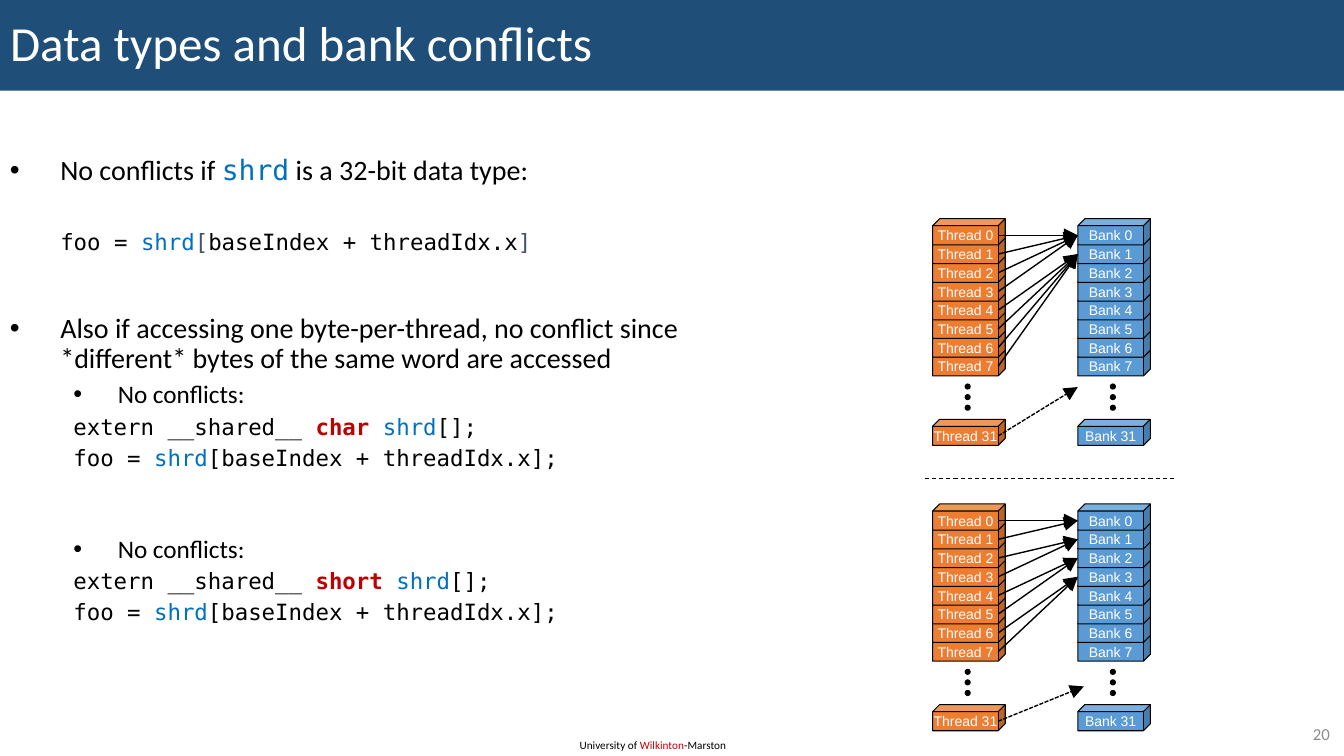
"""Build the slide on data types and shared memory bank conflicts."""
from dataclasses import dataclass

from lxml import etree
from pptx import Presentation
from pptx.dml.color import RGBColor
from pptx.enum.dml import MSO_LINE
from pptx.enum.shapes import MSO_CONNECTOR, MSO_SHAPE
from pptx.enum.text import MSO_ANCHOR, PP_ALIGN
from pptx.oxml.ns import qn
from pptx.util import Inches, Pt

CUBE, OVAL = MSO_SHAPE.CUBE, MSO_SHAPE.OVAL
STRAIGHT = MSO_CONNECTOR.STRAIGHT
DASH, SYS_DASH = MSO_LINE.DASH, MSO_LINE.SQUARE_DOT
TOP, MIDDLE = MSO_ANCHOR.TOP, MSO_ANCHOR.MIDDLE
LEFT, CENTER, RIGHT = PP_ALIGN.LEFT, PP_ALIGN.CENTER, PP_ALIGN.RIGHT


@dataclass(frozen=True)
class Theme:
    sans: str = "Calibri"
    label_font: str = "Arial"
    mono: str = "DejaVu Sans Mono"
    navy: str = "1F4E79"
    slate: str = "44546A"
    thread: str = "ED7D31"
    bank: str = "5B9BD5"
    name: str = "0070C0"
    keyword: str = "C00000"
    black: str = "000000"
    white: str = "FFFFFF"
    grey: str = "8C8C8C"
    title: int = 35
    body: int = 20
    sub: int = 18
    code: int = 16
    number: int = 12
    label: int = 10
    footer: int = 8


T = Theme()
W, H = 13.33, 7.5
TITLE = "Data types and bank conflicts"
PAGE = "20"
FOOTER = [("University of ", {}), ("Wilkinton", {"color": T.keyword}), ("-Marston", {})]

SHRD = ("shrd", {"color": T.name})
BULLET = {"margin": 0.5, "indent": -0.5, "bullet": True, "size": T.body}
CODE = {"margin": 0.5, "size": T.code, "font": T.mono}
SUB_BULLET = {"margin": 1.07, "indent": -0.44, "bullet": True, "size": T.sub}
SUB_CODE = {"margin": 0.63, "size": T.code, "font": T.mono}


def declaration(kind):
    return [("extern __shared__ ", {}), (kind + " ", {"color": T.keyword, "bold": True}),
            SHRD, ("[];", {})]


ACCESS = [("foo = ", {}), SHRD, ("[baseIndex + threadIdx.x];", {})]
BODY = [
    ([("No conflicts if ", {}), ("shrd", {"color": T.name, "font": T.mono}),
      (" is a 32-bit data type:", {})], BULLET, 10),
    ([("foo = ", {}), SHRD, ("[", {"color": T.slate}), ("baseIndex + threadIdx.x", {}),
      ("]", {"color": T.slate})], CODE, 32),
    ("Also if accessing one byte-per-thread, no conflict since "
     "*different* bytes of the same word are accessed", BULLET, 42),
    ("No conflicts:", SUB_BULLET, 5),
    (declaration("char"), SUB_CODE, 5),
    (ACCESS, SUB_CODE, 5),
    ("No conflicts:", SUB_BULLET, 46.5),
    (declaration("short"), SUB_CODE, 5),
    (ACCESS, SUB_CODE, 5),
]

COLUMNS = [("Bank", 10.69, T.bank), ("Thread", 9.25, T.thread)]
PANELS = [
    {"top": 2.17, "threads_per_bank": 4, "last_tip": (10.69, 3.84)},
    {"top": 5.0, "threads_per_bank": 2, "last_tip": (10.75, 6.81)},
]
ROWS, PITCH = 8, 0.19
PITCH_SPAN = 1.3
LAST_ROW = 1.99
CUBE_W, CUBE_H, DEPTH = 0.72, 0.26, 0.07
FACE_MID = 0.165
DOT, DOT_TOP, DOT_STEP = 0.05, 1.64, 0.105


def rgb(color):
    return RGBColor.from_string(color)


def write(p, text, size=T.body, font=T.sans, color=T.black, align=LEFT,
          margin=0, indent=0, bullet=False, before=0, spacing=1.0):
    """Fill a paragraph with a string or with (text, overrides) runs."""
    p.alignment, p.line_spacing, p.space_before = align, spacing, Pt(before)
    p_pr = p._p.get_or_add_pPr()
    p_pr.set("marL", str(Inches(margin)))
    p_pr.set("indent", str(Inches(indent)))
    if bullet:
        etree.SubElement(p_pr, qn("a:buFont"), typeface=T.label_font)
        etree.SubElement(p_pr, qn("a:buChar"), char="•")
    else:
        etree.SubElement(p_pr, qn("a:buNone"))
    for part, own in [(text, {})] if isinstance(text, str) else text:
        r = p.add_run()
        r.text = part
        r.font.size, r.font.name = Pt(size), own.get("font", font)
        r.font.bold = own.get("bold", False)
        r.font.color.rgb = rgb(own.get("color", color))


def add_text(shapes, x, y, w, h, anchor=TOP, wrap=True):
    tf = shapes.add_textbox(Inches(x), Inches(y), Inches(w), Inches(h)).text_frame
    tf.word_wrap, tf.vertical_anchor = wrap, anchor
    return tf


def add_solid(shapes, kind, x, y, w, h, fill):
    sp = shapes.add_shape(kind, Inches(x), Inches(y), Inches(w), Inches(h))
    sp.shadow.inherit = False
    sp.fill.solid()
    sp.fill.fore_color.rgb = rgb(fill)
    sp.line.color.rgb, sp.line.width = rgb(T.black), Pt(0.75)
    return sp


def add_cube(shapes, label, x, y, fill):
    sp = add_solid(shapes, CUBE, x, y, CUBE_W, CUBE_H, fill)
    sp.adjustments[0] = DEPTH / CUBE_H
    tf = sp.text_frame
    tf.word_wrap, tf.vertical_anchor = False, MIDDLE
    tf.margin_left = tf.margin_right = tf.margin_top = tf.margin_bottom = 0
    write(tf.paragraphs[0], label, size=T.label, font=T.label_font, color=T.white, align=CENTER)


def add_line(shapes, start, end, width=1.0, dash=None, arrow=True):
    ln = shapes.add_connector(STRAIGHT, *(Inches(v) for v in (*start, *end)))
    ln.line.color.rgb, ln.line.width = rgb(T.black), Pt(width)
    if dash:
        ln.line.dash_style = dash
    if arrow:
        etree.SubElement(ln.line._get_or_add_ln(), qn("a:tailEnd"),
                         type="triangle", w="lg", len="lg")
    etree.SubElement(ln._element.spPr, qn("a:effectLst"))


def row_top(top, row):
    return top + row * PITCH_SPAN / (ROWS - 1)


def add_panel(shapes, top, threads_per_bank, last_tip):
    group = shapes.add_group_shape().shapes
    for name, x, fill in COLUMNS:
        add_cube(group, f"{name} 31", x, top + LAST_ROW, fill)
        for row in reversed(range(ROWS)):
            add_cube(group, f"{name} {row}", x, row_top(top, row), fill)
        for i in range(3):
            dot_x = x + (CUBE_W - DEPTH + DOT / 2) / 2
            add_solid(group, OVAL, dot_x - DOT / 4 - DOT / 4 + 0.01,
                      top + DOT_TOP + i * DOT_STEP, DOT, DOT, T.black)
    bank_x = COLUMNS[0][1]
    face_x = COLUMNS[1][1] + CUBE_W - DEPTH
    for row in range(ROWS):
        add_line(group, (face_x, row_top(top, row) + FACE_MID),
                 (bank_x, row_top(top, row // threads_per_bank) + FACE_MID))
    add_line(group, (face_x, top + LAST_ROW + FACE_MID), last_tip, dash=SYS_DASH)


def main():
    prs = Presentation()
    prs.slide_width, prs.slide_height = Inches(W), Inches(H)
    s = prs.slides.add_slide(prs.slide_layouts[5])

    title = s.shapes.title
    title.left, title.top, title.width, title.height = 0, 0, Inches(W), Inches(0.12 * H)
    title.fill.solid()
    title.fill.fore_color.rgb = rgb(T.navy)
    title.text_frame.vertical_anchor = MIDDLE
    write(title.text_frame.paragraphs[0], TITLE, size=T.title, color=T.white, spacing=0.9)

    tf = add_text(s.shapes, 0, 0.2 * H, 7, 5.42)
    for i, (text, style, before) in enumerate(BODY):
        p = tf.add_paragraph() if i else tf.paragraphs[0]
        write(p, text, before=before, spacing=0.9, **style)

    add_line(s.shapes, (9.17, 4.75), (11.67, 4.75), width=0.75, dash=DASH, arrow=False)
    for panel in PANELS:
        add_panel(s.shapes, **panel)

    tf = add_text(s.shapes, 5.65, 7.28, 1.72, 0.24, wrap=False)
    write(tf.paragraphs[0], FOOTER, size=T.footer)
    tf = add_text(s.shapes, 12.53, 7.13, 0.76, 0.29, anchor=MIDDLE)
    write(tf.paragraphs[0], PAGE, size=T.number, color=T.grey, align=RIGHT)
    prs.save("out.pptx")


if __name__ == "__main__":
    main()
